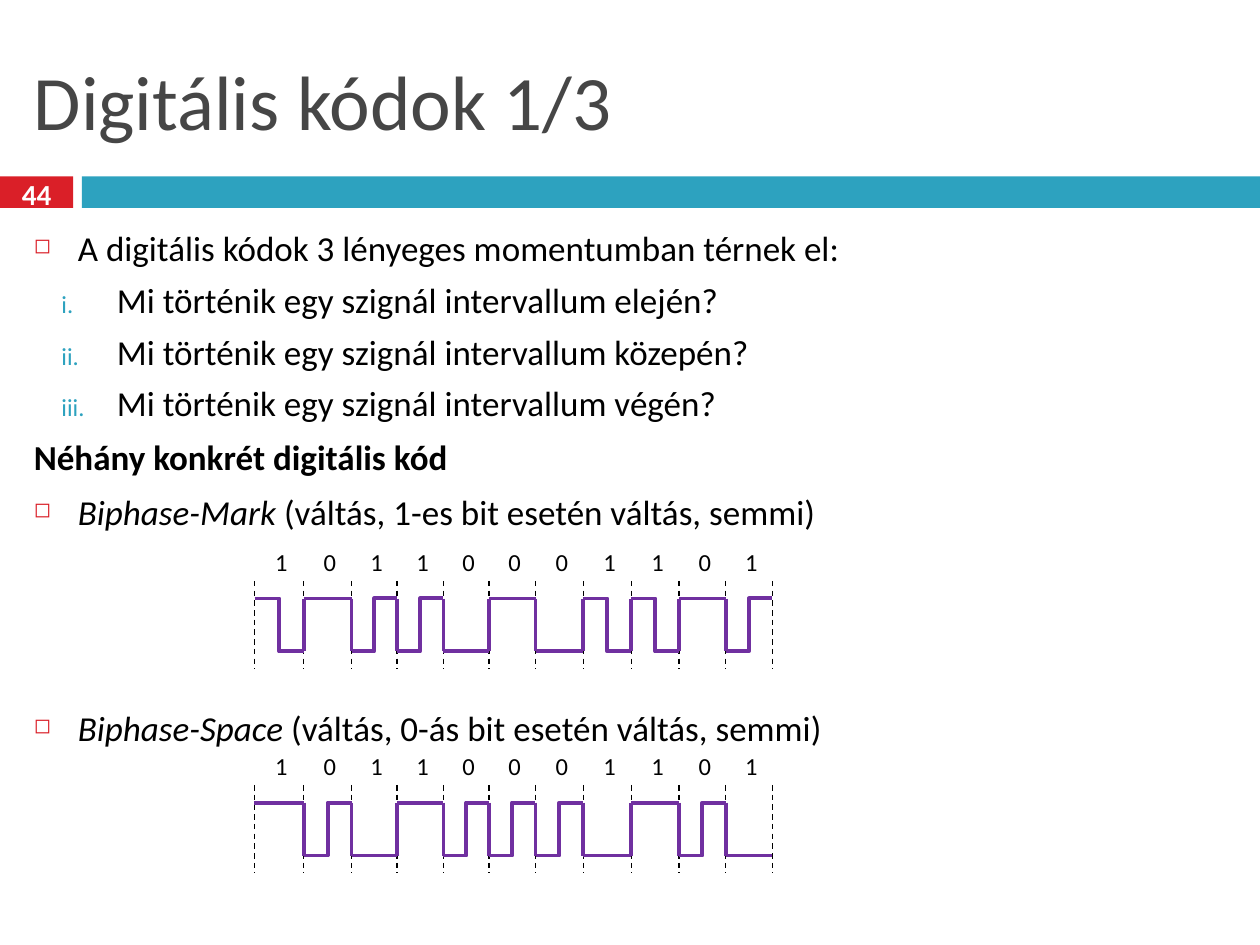
from lxml.etree import SubElement
from pptx import Presentation
from pptx.dml.color import RGBColor
from pptx.enum.dml import MSO_LINE
from pptx.enum.shapes import MSO_CONNECTOR, MSO_SHAPE
from pptx.enum.text import MSO_ANCHOR, PP_ALIGN
from pptx.oxml.ns import qn
from pptx.util import Inches, Pt

RED, TEAL, PURPLE, BLACK = "DA1F28", "2DA2BF", "7030A0", "000000"
color = RGBColor.from_string

deck = Presentation()
deck.slide_width, deck.slide_height = Inches(10), Inches(7.5)
page = deck.slides.add_slide(deck.slide_layouts[6])


def add_line(kind, start, end, hue, width):
    line = page.shapes.add_connector(kind, *[Inches(value) for value in (*start, *end)])
    line.line.color.rgb = color(hue)
    line.line.width = Pt(width)
    SubElement(line._element.spPr, qn("a:effectLst"))
    return line


def add_text(frame, texts, size, hue, anchor=MSO_ANCHOR.TOP):
    box = page.shapes.add_textbox(*[Inches(value) for value in frame])
    box.text_frame.word_wrap = True
    box.text_frame.vertical_anchor = anchor
    box.text_frame.text = "\n".join(texts)
    for paragraph in box.text_frame.paragraphs:
        for span in paragraph.runs:
            span.font.name = "Calibri"
            span.font.size = Pt(size)
            span.font.color.rgb = color(hue)
    return box.text_frame.paragraphs


for left, width, fill in [(0, 0.58, RED), (0.65, 9.35, TEAL)]:
    bar = page.shapes.add_shape(
        MSO_SHAPE.RECTANGLE, Inches(left), Inches(1.4), Inches(width), Inches(0.25))
    bar.shadow.inherit = False
    bar.fill.solid()
    bar.fill.fore_color.rgb = color(fill)
    bar.line.fill.background()

add_text((0.17, 0.25, 9.67, 1.08), ["Digitális kódok 1/3"], 44, "464646", MSO_ANCHOR.MIDDLE)
number = add_text((0, 1.37, 0.58, 0.33), ["44"], 16.6, "FFFFFF", MSO_ANCHOR.MIDDLE)[0]
number.alignment = PP_ALIGN.CENTER
number.runs[0].font.bold = True

body = [
    ("square", 0, "", "A digitális kódok 3 lényeges momentumban térnek el:"),
    ("roman", 5.5, "", "Mi történik egy szignál intervallum elején?"),
    ("roman", 5.5, "", "Mi történik egy szignál intervallum közepén?"),
    ("roman", 5.5, "", "Mi történik egy szignál intervallum végén?"),
    ("", 7, "", "Néhány konkrét digitális kód"),
    ("square", 7, "Biphase-Mark", " (váltás, 1-es bit esetén váltás, semmi)"),
    ("square", 99.6, "Biphase-Space", " (váltás, 0-ás bit esetén váltás, semmi)"),
]
bullets = {
    "square": (0.35, 0.35, RED, 60, "buChar", {"char": "◻"}),
    "roman": (0.66, 0.44, TEAL, 70, "buAutoNum", {"type": "romanLcPeriod"}),
}
paragraphs = add_text((0.17, 1.75, 9.67, 5.58), [row[3] for row in body], 20, BLACK)
for paragraph, (bullet, space, term, text) in zip(paragraphs, body):
    if bullet:
        margin, hanging, hue, percent, tag, values = bullets[bullet]
        properties = paragraph._p.get_or_add_pPr()
        properties.set("marL", str(Inches(margin)))
        properties.set("indent", str(-Inches(hanging)))
        SubElement(SubElement(properties, qn("a:buClr")), qn("a:srgbClr"), val=hue)
        SubElement(properties, qn("a:buSzPct"), val=str(percent * 1000))
        SubElement(properties, qn("a:" + tag), **values)
    else:
        paragraph.runs[0].font.bold = True
    if bullet == "roman":
        paragraph.level = 1
    paragraph.space_before = Pt(space)
    if term:
        paragraph.runs[0].text = term
        paragraph.runs[0].font.italic = True
        span = paragraph.add_run()
        span.text = text
        span.font.name = "Calibri"
        span.font.size = Pt(20)
        span.font.color.rgb = color(BLACK)

bits = "10110001101"
edges = [2.02, 2.41, 2.79, 3.15, 3.52, 3.88, 4.25, 4.63, 5.01, 5.39, 5.76, 6.13]
cells = list(zip(bits, edges, edges[1:]))

for label_top, switching_bit in [(4.29, "1"), (5.91, "0")]:
    labels = add_text((2.01, label_top, 4.48, 0.34), ["\t" + "\t".join(bits)], 14, BLACK)
    tabs = SubElement(labels[0]._p.get_or_add_pPr(), qn("a:tabLst"))
    for bit, left, right in cells:
        center = Inches((left + right) / 2 - 2.11 + 0.02)
        SubElement(tabs, qn("a:tab"), pos=str(center), algn="ctr")

    for edge in edges:
        divider = add_line(MSO_CONNECTOR.STRAIGHT, (edge, label_top + 0.32),
                           (edge, label_top + 1.02), BLACK, 0.79)
        divider.line.dash_style = MSO_LINE.DASH

    high, low = label_top + 0.46, label_top + 0.88
    level, other = high, low
    for bit, left, right in cells:
        if left > edges[0]:
            add_line(MSO_CONNECTOR.STRAIGHT, (left, high), (left, low), PURPLE, 2.25)
        if bit == switching_bit:
            add_line(MSO_CONNECTOR.ELBOW, (left, level), (right, other), PURPLE, 2.25)
        else:
            add_line(MSO_CONNECTOR.STRAIGHT, (left, level), (right, level), PURPLE, 2.25)
            level, other = other, level

deck.save("out.pptx")
